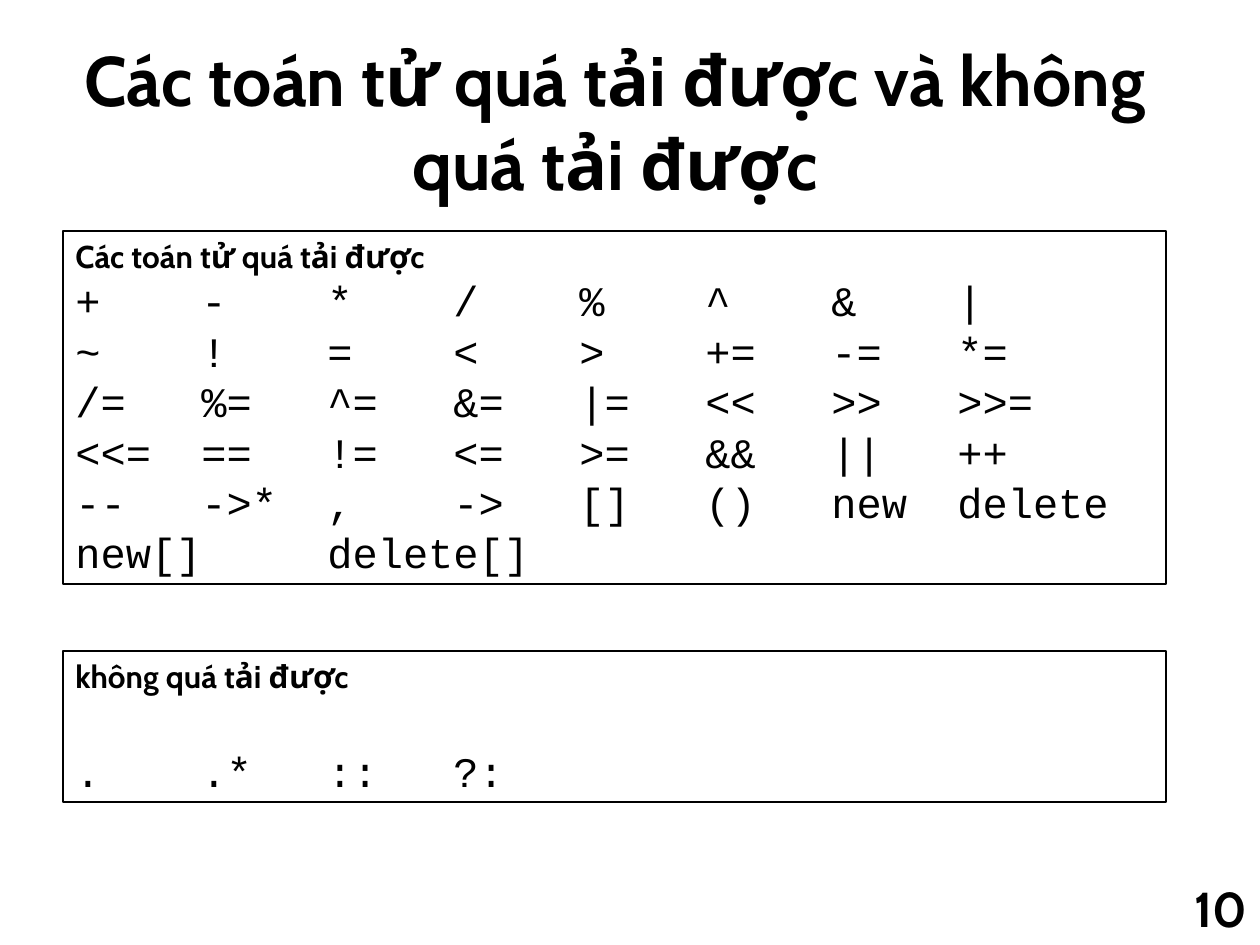
import pptx
import pptx.dml.color
import pptx.enum.shapes
import pptx.enum.text
import pptx.oxml.ns
import pptx.util
from lxml import etree

PX_PER_INCH = 126
BLACK = "000000"
COLUMN_STOPS = range(1, 8)
ALIGN = pptx.enum.text.PP_ALIGN
ANCHOR = pptx.enum.text.MSO_ANCHOR

OVERLOADABLE = [
    "+ - * / % ^ & |",
    "~ ! = < > += -= *=",
    "/= %= ^= &= |= << >> >>=",
    "<<= == != <= >= && || ++",
    "-- ->* , -> [] () new delete",
]
ARRAY_OPERATORS = "new[] delete[]"
NOT_OVERLOADABLE = ". .* :: ?:"


def px(count):
    return pptx.util.Emu(round(count * pptx.util.Inches(1) / PX_PER_INCH))


def colour(value):
    return pptx.dml.color.RGBColor.from_string(value)


def place(shape, left, top, width, height):
    shape.left, shape.top = px(left), px(top)
    shape.width, shape.height = px(width), px(height)


def format_frame(frame, anchor):
    frame.word_wrap = True
    frame.auto_size = pptx.enum.text.MSO_AUTO_SIZE.NONE
    frame.vertical_anchor = anchor


def format_text(para, size, align, font="Cabin", bold=True):
    para.alignment = align
    for span in para.runs:
        span.font.name = font
        span.font.size = pptx.util.Pt(size)
        span.font.bold = bold
        span.font.color.rgb = colour(BLACK)


def add_title(page, text):
    title = page.shapes.title
    place(title, 53, 42, 1124, 157)
    format_frame(title.text_frame, ANCHOR.MIDDLE)
    title.text_frame.text = text
    format_text(title.text_frame.paragraphs[0], 40, ALIGN.CENTER)


def add_operator_box(page, top, height, heading):
    box = page.shapes.add_shape(
        pptx.enum.shapes.MSO_SHAPE.RECTANGLE, px(63), px(top), px(1103), px(height)
    )
    box.shadow.inherit = False
    box.fill.background()
    box.line.color.rgb = colour(BLACK)
    box.line.width = pptx.util.Pt(0.75)
    format_frame(box.text_frame, ANCHOR.TOP)
    box.text_frame.text = heading
    format_text(box.text_frame.paragraphs[0], 18, ALIGN.LEFT)
    return box


def add_operator_row(box, operators, stops=COLUMN_STOPS, gap=0):
    para = box.text_frame.add_paragraph()
    para.text = "\t".join(operators.split())
    qualified = pptx.oxml.ns.qn
    tabs = etree.SubElement(para._p.get_or_add_pPr(), qualified("a:tabLst"))
    for stop in stops:
        position = str(pptx.util.Inches(stop))
        etree.SubElement(tabs, qualified("a:tab"), pos=position, algn="l")
    para.line_spacing = pptx.util.Pt(28.8)
    para.space_before = pptx.util.Pt(gap)
    format_text(para, 24, ALIGN.LEFT, "Courier New", False)


def add_page_number(page, number):
    box = page.shapes.add_textbox(px(1144), px(872), px(116), px(79))
    format_frame(box.text_frame, ANCHOR.TOP)
    box.text_frame.text = number
    format_text(box.text_frame.paragraphs[0], 28, ALIGN.RIGHT)


def main():
    deck = pptx.Presentation()
    deck.slide_width, deck.slide_height = px(1260), px(945)
    page = deck.slides.add_slide(deck.slide_layouts[5])

    add_title(page, "Các toán tử quá tải được và không quá tải được")

    allowed = add_operator_box(page, 231, 353, "Các toán tử quá tải được")
    for operators in OVERLOADABLE:
        add_operator_row(allowed, operators)
    add_operator_row(allowed, ARRAY_OPERATORS, stops=[2])

    forbidden = add_operator_box(page, 651, 151, "không quá tải được")
    add_operator_row(forbidden, NOT_OVERLOADABLE, gap=28.8)

    add_page_number(page, "10")
    deck.save("out.pptx")


if __name__ == "__main__":
    main()
